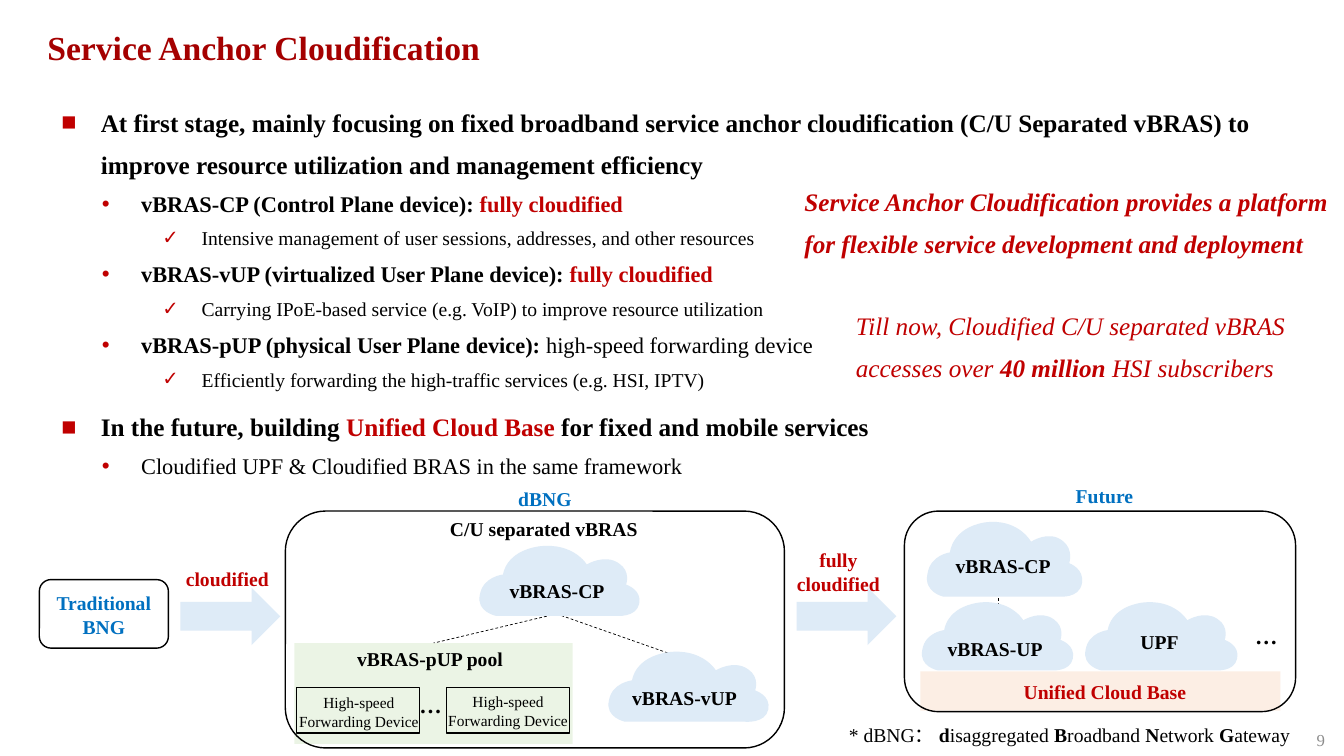
"""Build the Service Anchor Cloudification slide."""
from lxml import etree
from pptx import Presentation
from pptx.dml.color import RGBColor
from pptx.enum.dml import MSO_LINE
from pptx.enum.shapes import MSO_CONNECTOR, MSO_SHAPE as SHAPE
from pptx.enum.text import MSO_ANCHOR as ANCHOR, MSO_AUTO_SIZE as FIT, PP_ALIGN as ALIGN
from pptx.oxml.ns import qn
from pptx.util import Inches, Pt

FONT = "Times New Roman"
TITLE_RED = RGBColor(0xA5, 0x00, 0x00)
RED = RGBColor(0xC0, 0x00, 0x00)
BLUE = RGBColor(0x00, 0x70, 0xC0)
BLACK = RGBColor(0x00, 0x00, 0x00)
GREY = RGBColor(0x8C, 0x8C, 0x8C)
PALE_BLUE = RGBColor(0xDE, 0xEB, 0xF7)
PALE_GREEN = RGBColor(0xE2, 0xF0, 0xD9)
PALE_ORANGE = RGBColor(0xFB, 0xE5, 0xD6)


def add_runs(p, runs, size, italic=False):
    for text, color, bold in runs:
        r = p.add_run()
        r.text = text
        r.font.name, r.font.size = FONT, Pt(size)
        r.font.color.rgb, r.font.bold, r.font.italic = color, bold, italic


def add_label(at, lines, size=14, align=ALIGN.CENTER, inset=True, italic=False, spacing=None):
    tf = s.shapes.add_textbox(*map(Inches, at)).text_frame
    tf.word_wrap = True
    if not inset:
        tf.margin_left = tf.margin_right = tf.margin_top = tf.margin_bottom = 0
    for i, runs in enumerate(lines):
        p = tf.paragraphs[0] if i == 0 else tf.add_paragraph()
        p.alignment = align
        if spacing:
            p.line_spacing, p.space_before = spacing, Pt(6)
        add_runs(p, runs, size, italic)
    return tf


prs = Presentation()
prs.slide_width, prs.slide_height = Inches(13.33), Inches(7.5)
s = prs.slides.add_slide(prs.slide_layouts[1])

title, body = s.shapes.title, s.placeholders[1]
for sp, at in ((title, (0.37, 0.13, 11.73, 0.72)), (body, (0.51, 0.89, 12.28, 4.14))):
    sp.left, sp.top, sp.width, sp.height = map(Inches, at)
    sp.text_frame.auto_size = FIT.NONE
    sp.text_frame.word_wrap = True

title.text_frame.vertical_anchor = ANCHOR.MIDDLE
p = title.text_frame.paragraphs[0]
p.alignment, p.line_spacing = ALIGN.LEFT, 0.9
add_runs(p, [("Service Anchor Cloudification", TITLE_RED, True)], 24)

levels = {0: (0.39, "■", 18, 6), 1: (0.79, "•", 16, 0), 5: (1.39, "✓", 14, 0)}
outline = [
    (0, [("At first stage, mainly focusing on fixed broadband service anchor cloudification "
          "(C/U Separated vBRAS) to improve resource utilization and management efficiency", BLACK, True)]),
    (1, [("vBRAS-CP (Control Plane device): ", BLACK, True), ("fully cloudified", RED, True)]),
    (5, [("Intensive management of user sessions, addresses, and other resources", BLACK, False)]),
    (1, [("vBRAS-vUP (virtualized User Plane device): ", BLACK, True), ("fully cloudified", RED, True)]),
    (5, [("Carrying IPoE-based service (e.g. VoIP) to improve resource utilization", BLACK, False)]),
    (1, [("vBRAS-pUP (physical User Plane device): ", BLACK, True),
         ("high-speed forwarding device", BLACK, False)]),
    (5, [("Efficiently forwarding the high-traffic services (e.g. HSI, IPTV)", BLACK, False)]),
    (0, [("In the future, building ", BLACK, True), ("Unified Cloud Base ", RED, True),
         ("for fixed and mobile services", BLACK, True)]),
    (1, [("Cloudified UPF & Cloudified BRAS in the same framework", BLACK, False)]),
]
for i, (level, runs) in enumerate(outline):
    margin, bullet, size, before = levels[level]
    p = body.text_frame.paragraphs[0] if i == 0 else body.text_frame.add_paragraph()
    p.level, p.alignment = level, ALIGN.LEFT
    p.line_spacing, p.space_before, p.space_after = 1.4, Pt(before), Pt(0)
    pPr = p._p.get_or_add_pPr()
    pPr.set("marL", str(Inches(margin)))
    pPr.set("indent", str(Inches(-0.39)))
    bullet_color = etree.SubElement(pPr, qn("a:buClr"))
    etree.SubElement(bullet_color, qn("a:srgbClr")).set("val", str(RED))
    etree.SubElement(pPr, qn("a:buFont")).set("typeface", "Arial")
    etree.SubElement(pPr, qn("a:buChar")).set("char", bullet)
    add_runs(p, runs, size)

for start, end in (((9.9, 5.64), (9.9, 6.35)), ((5.52, 6.09), (6.63, 6.48)), ((5.52, 6.09), (4.3, 6.38))):
    link = s.shapes.add_connector(MSO_CONNECTOR.STRAIGHT, *map(Inches, start + end))
    link.line.color.rgb, link.line.width = BLACK, Pt(0.5)
    link.line.dash_style = MSO_LINE.DASH
    etree.SubElement(link._element.spPr, qn("a:effectLst"))

ROUND, ARROW = SHAPE.ROUNDED_RECTANGLE, SHAPE.RIGHT_ARROW
blocks = [
    (ROUND, (9.13, 6.66, 3.57, 0.39), 0, PALE_ORANGE, 64),
    (ROUND, (2.92, 6.38, 2.76, 1), 0, PALE_GREEN, 68),
    (ARROW, (1.79, 5.83, 0.99, 0.57), 0.5, PALE_BLUE, 100),
    (ARROW, (7.9, 5.83, 0.99, 0.57), 0.5, PALE_BLUE, 100),
    (ROUND, (2.83, 5.07, 4.95, 2.35), 0.17, None, 100),
    (ROUND, (0.39, 5.75, 1.28, 0.68), 0.17, None, 100),
    (ROUND, (8.97, 5.07, 3.88, 1.99), 0.17, None, 100),
    (ROUND, (2.94, 6.82, 1.22, 0.45), 0, None, 100),
    (ROUND, (4.43, 6.82, 1.22, 0.45), 0, None, 100),
]
for kind, at, corner, fill, opacity in blocks:
    sp = s.shapes.add_shape(kind, *map(Inches, at))
    sp.adjustments[0] = corner
    sp.shadow.inherit = False
    if fill is None:
        sp.fill.background()
        sp.line.color.rgb, sp.line.width = BLACK, Pt(1)
        continue
    sp.fill.solid()
    sp.fill.fore_color.rgb = fill
    sp.line.fill.background()
    if opacity < 100:
        color = sp._element.spPr.find(qn("a:solidFill"))[0]
        etree.SubElement(color, qn("a:alpha")).set("val", str(opacity * 1000))

cloud_steps = [
    ("moveTo", [(139, 73)]),
    ("lnTo", [(20, 73)]),
    ("cubicBezTo", [(20, 73), (0, 69), (4, 52)]),
    ("cubicBezTo", [(7, 34), (27, 32), (27, 32)]),
    ("cubicBezTo", [(27, 32), (29, 9), (63, 4)]),
    ("cubicBezTo", [(97, 0), (110, 22), (110, 22)]),
    ("cubicBezTo", [(110, 22), (128, 11), (142, 21)]),
    ("cubicBezTo", [(154, 29), (149, 42), (149, 42)]),
    ("cubicBezTo", [(149, 42), (165, 47), (162, 61)]),
    ("cubicBezTo", [(159, 75), (139, 73), (139, 73)]),
    ("close", []),
]
clouds = [
    ((4.72, 5.38, 1.64, 0.75), "vBRAS-CP", (4.7, 5.69, 1.65, 0.4)),
    ((6, 6.43, 1.64, 0.75), "vBRAS-vUP", (6.04, 6.76, 1.5, 0.4)),
    ((9.16, 5.14, 1.59, 0.8), "vBRAS-CP", (9.22, 5.45, 1.46, 0.43)),
    ((9.11, 5.94, 1.55, 0.73), "vBRAS-UP", (9.22, 6.27, 1.3, 0.36)),
    ((10.73, 5.94, 1.56, 0.73), "UPF", (10.84, 6.2, 1.32, 0.3)),
]
for at, name, label_at in clouds:
    builder = s.shapes.build_freeform(0, 0, scale=Inches(0.01))
    builder.add_line_segments([(164, 0), (164, 75)])
    sp = builder.convert_to_shape()
    sp.left, sp.top, sp.width, sp.height = map(Inches, at)
    contour = next(sp._element.iter(qn("a:path")))
    for child in list(contour):
        contour.remove(child)
    for step, points in cloud_steps:
        node = etree.SubElement(contour, qn("a:" + step))
        for x, y in points:
            pt = etree.SubElement(node, qn("a:pt"))
            pt.set("x", str(x))
            pt.set("y", str(y))
    sp.shadow.inherit = False
    sp.fill.solid()
    sp.fill.fore_color.rgb = PALE_BLUE
    sp.line.fill.background()
    add_label(label_at, [[(name, BLACK, True)]])

headings = [
    ((3.84, 5.08, 3.06, 0.36), " C/U separated vBRAS", BLACK, ALIGN.CENTER),
    ((3.41, 6.37, 1.71, 0.32), "vBRAS-pUP pool", BLACK, ALIGN.CENTER),
    ((9.43, 6.7, 3.06, 0.32), "Unified Cloud Base", RED, ALIGN.CENTER),
    ((5.04, 4.78, 0.89, 0.36), "dBNG", BLUE, ALIGN.LEFT),
    ((10.57, 4.75, 0.89, 0.36), "Future", BLUE, ALIGN.LEFT),
]
for at, text, color, align in headings:
    add_label(at, [[(text, color, True)]], align=align)

tf = add_label((0.39, 5.75, 1.28, 0.69), [[("Traditional", BLUE, True)], [("BNG", BLUE, True)]])
tf.vertical_anchor = ANCHOR.MIDDLE
add_label((1.68, 5.62, 1.15, 0.22), [[("cloudified", RED, True)]], inset=False)
add_label((7.74, 5.44, 1.15, 0.5), [[("fully", RED, True)], [("cloudified", RED, True)]], inset=False)

for x, y in ((2.78, 6.83), (4.26, 6.82)):
    add_label((x, y, 1.56, 0.45), [[("High-speed Forwarding Device", BLACK, False)]], 11)
for at, inset in (((4.16, 6.86, 0.35, 0.25), False), ((12.35, 6.12, 0.31, 0.37), True)):
    add_label(at, [[("…", BLACK, True)]], 16, ALIGN.LEFT, inset)

add_label((7.88, 1.68, 5.46, 0.9),
          [[("Service Anchor Cloudification provides a platform for flexible service "
             "development and deployment", RED, True)]], 18, ALIGN.LEFT, italic=True, spacing=1.4)
add_label((8.39, 2.91, 4.56, 0.9),
          [[("Till now, Cloudified C/U separated vBRAS accesses over ", RED, False),
            ("40 million ", RED, True), ("HSI subscribers", RED, False)]],
          18, ALIGN.LEFT, italic=True, spacing=1.4)

expansion = ["* dBNG： ", "d", "isaggregated ", "B", "roadband ", "N", "etwork ", "G", "ateway"]
add_label((8.32, 7.12, 4.95, 0.35),
          [[(text, BLACK, i % 2 == 1) for i, text in enumerate(expansion)]], align=ALIGN.LEFT)
add_label((12.89, 7.19, 0.42, 0.3), [[("9", GREY, False)]], 12)

prs.save("out.pptx")
